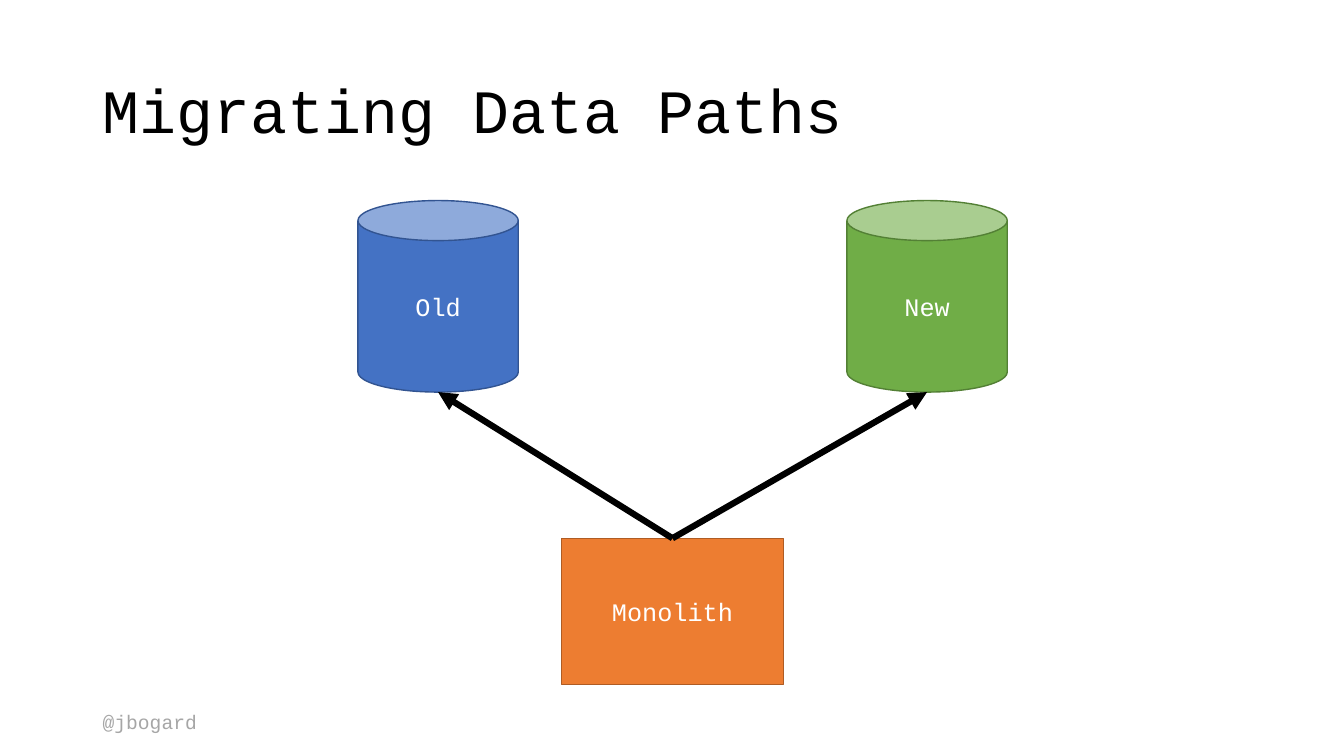
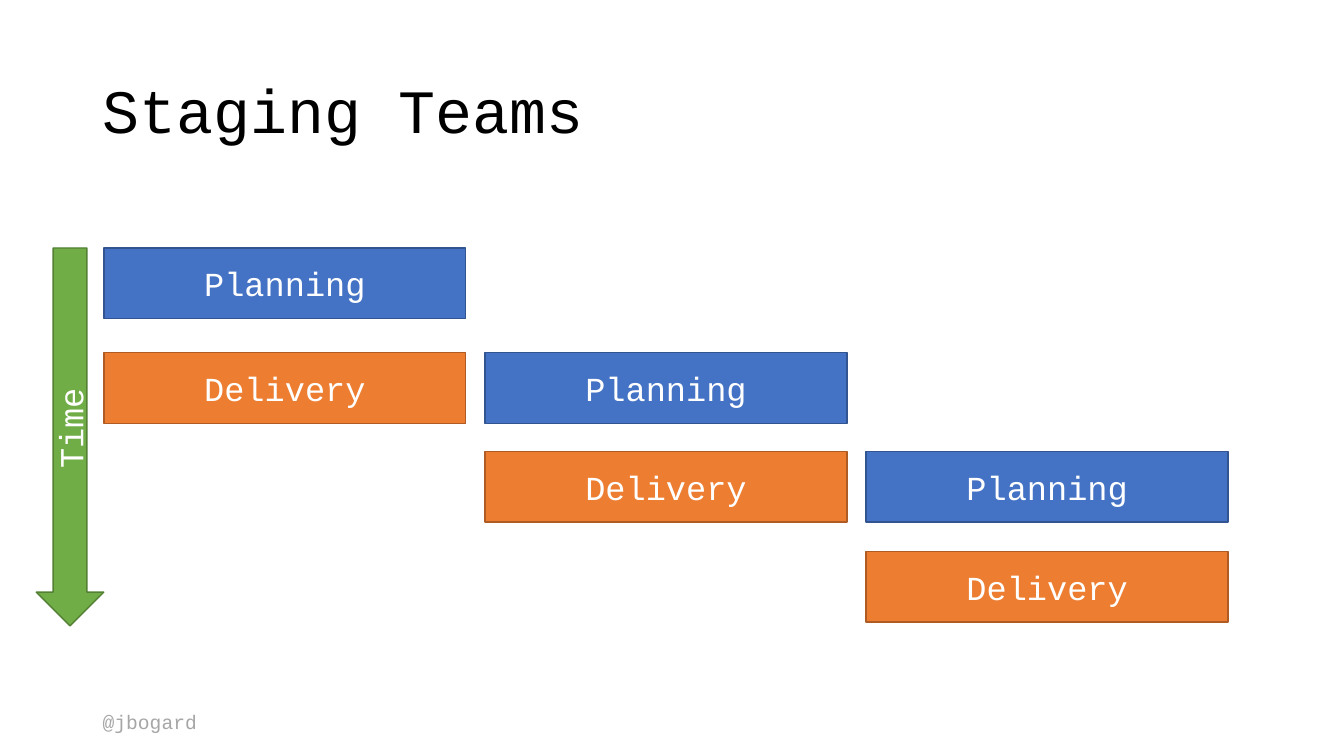
from lxml.etree import SubElement
from pptx import Presentation
from pptx.dml.color import RGBColor
from pptx.enum.shapes import MSO_CONNECTOR, MSO_SHAPE
from pptx.enum.text import MSO_ANCHOR, MSO_AUTO_SIZE, PP_ALIGN
from pptx.oxml.ns import qn
from pptx.util import Inches, Pt

FONT = "Courier New"
COLORS = {
    "blue": "4472C4", "blue_edge": "325491",
    "green": "70AD47", "green_edge": "538035",
    "orange": "ED7D31", "orange_edge": "AF5C24",
    "black": "000000", "white": "FFFFFF", "gray": "A6A6A6",
}


def rgb(name):
    return RGBColor.from_string(COLORS[name])


def write(frame, text, size, color, align=PP_ALIGN.LEFT):
    frame.text = text
    para = frame.paragraphs[0]
    para.alignment = align
    font = para.runs[0].font
    font.name, font.size = FONT, Pt(size)
    font.color.rgb = rgb(color)
    return para


def add_slide(deck, layout, title):
    slide = deck.slides.add_slide(layout)
    head = slide.shapes.title
    head.left, head.top = Inches(0.92), Inches(0.4)
    head.width, head.height = Inches(11.5), Inches(1.45)
    frame = head.text_frame
    frame.vertical_anchor = MSO_ANCHOR.MIDDLE
    write(frame, title, 44, "black").line_spacing = 0.9
    return slide


def add_footer(slide):
    """Add the handle and move it to the layout, so that every slide shows it."""
    box = slide.shapes.add_textbox(
        Inches(0.92), Inches(6.99), Inches(1.46), Inches(0.34))
    frame = box.text_frame
    frame.word_wrap = True
    frame.auto_size = MSO_AUTO_SIZE.SHAPE_TO_FIT_TEXT
    write(frame, "@jbogard", 14, "gray")
    slide.slide_layout.shapes.element.append(box.element)


def add_block(slide, kind, text, color, place, size):
    block = slide.shapes.add_shape(kind, *map(Inches, place))
    block.shadow.inherit = False
    block.fill.solid()
    block.fill.fore_color.rgb = rgb(color)
    block.line.color.rgb = rgb(color + "_edge")
    block.line.width = Pt(1)
    frame = block.text_frame
    frame.vertical_anchor = MSO_ANCHOR.MIDDLE
    write(frame, text, size, "white", PP_ALIGN.CENTER)
    return block


def add_arrow(slide, box, can):
    """Point from the top of the box to the bottom of the can."""
    arrow = slide.shapes.add_connector(
        MSO_CONNECTOR.STRAIGHT, box.left + box.width // 2, box.top,
        can.left + can.width // 2, can.top + can.height)
    arrow.begin_connect(box, 0)
    arrow.line.color.rgb = rgb("black")
    arrow.line.width = Pt(4.5)
    SubElement(arrow.line._get_or_add_ln(), qn("a:tailEnd"), type="triangle")
    SubElement(arrow.element.spPr, qn("a:effectLst"))


def draw_paths(slide):
    box = add_block(slide, MSO_SHAPE.RECTANGLE, "Monolith", "orange",
                    (5.57, 5.34, 2.2, 1.45), 18)
    for text, color, left in (("Old", "blue", 3.55), ("New", "green", 8.4)):
        can = add_block(slide, MSO_SHAPE.CAN, text, color,
                        (left, 1.99, 1.59, 1.9), 18)
        add_arrow(slide, box, can)


def draw_teams(slide):
    """Each team plans one row, then delivers while the next team plans."""
    left, step = 1.03, 3.78
    rows = (2.46, 3.5, 4.48, 5.47)
    for team in range(len(rows) - 1):
        tasks = (("Planning", "blue"), ("Delivery", "orange"))
        for row, (text, color) in enumerate(tasks, team):
            add_block(slide, MSO_SHAPE.RECTANGLE, text, color,
                      (left + team * step, rows[row], 3.59, 0.7), 24)
    time = add_block(slide, MSO_SHAPE.DOWN_ARROW, "Time", "green",
                     (0.36, rows[0], 0.67, 3.75), 24)
    time.text_frame._txBody.bodyPr.set("vert", "vert270")


def main():
    deck = Presentation()
    deck.slide_width, deck.slide_height = Inches(13.33), Inches(7.5)
    layout = deck.slide_layouts.get_by_name("Title Only")
    paths = add_slide(deck, layout, "Migrating Data Paths")
    add_footer(paths)
    draw_paths(paths)
    draw_teams(add_slide(deck, layout, "Staging Teams"))
    deck.save("out.pptx")


if __name__ == "__main__":
    main()
